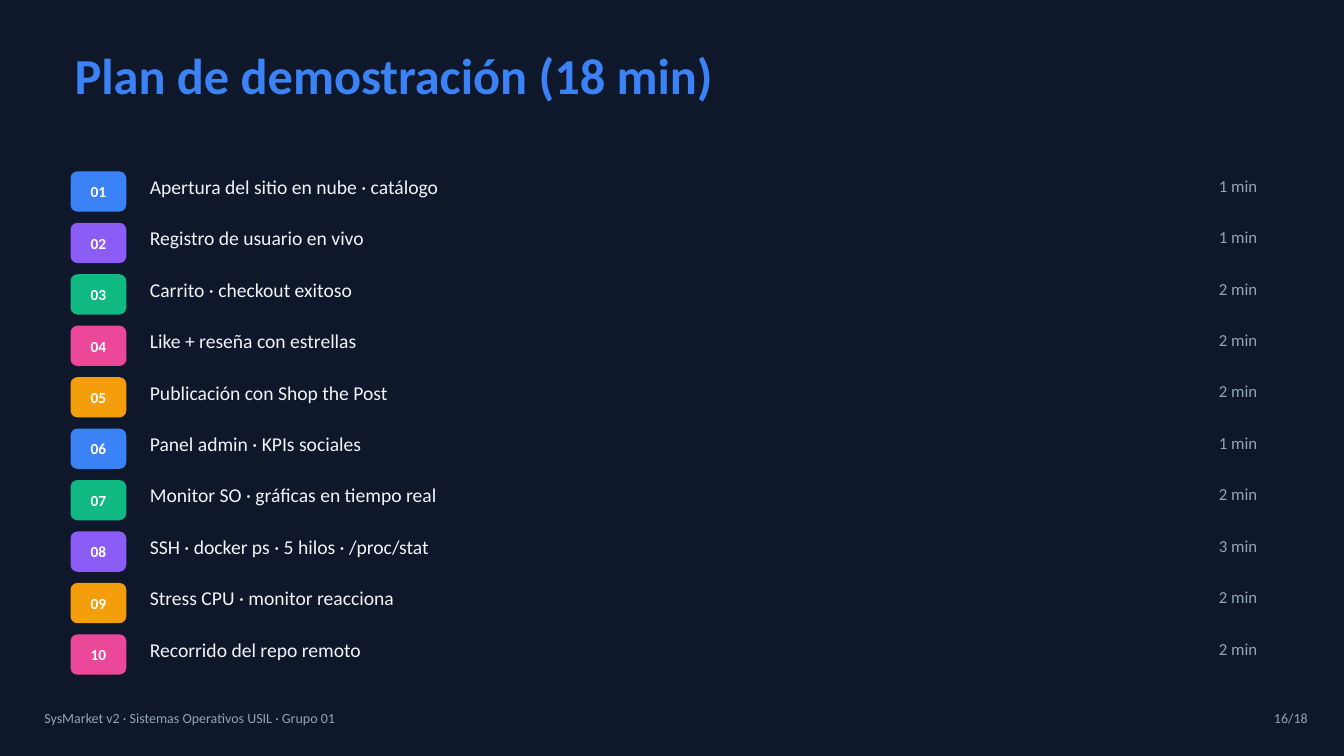
"""Builds the timed demonstration plan slide."""
from dataclasses import dataclass
from typing import NamedTuple

from pptx import Presentation
from pptx import util as u
from pptx.dml.color import RGBColor
from pptx.enum import shapes, text
from pptx.slide import Slide

COLUMNS, ROWS = 20, 11.25
COLUMN = ROW = u.Inches(1)
FIRST_STEP, LAST_STEP = 2.55, 9.44


class Area(NamedTuple):
    left: float
    top: float
    width: float
    height: float

    def lengths(self) -> list[int]:
        units = (COLUMN, ROW, COLUMN, ROW)
        return [round(share * unit) for share, unit in zip(self, units)]


class Style(NamedTuple):
    size: float
    color: str
    bold: bool = False
    align: text.PP_ALIGN = text.PP_ALIGN.LEFT


class Step(NamedTuple):
    label: str
    minutes: int
    color: str


@dataclass(frozen=True)
class Theme:
    font: str = "Calibri"
    background: str = "0F172A"
    blue: str = "3B82F6"
    violet: str = "8B5CF6"
    green: str = "10B981"
    pink: str = "EC4899"
    amber: str = "F59E0B"
    title: Style = Style(54, "3B82F6", bold=True)
    badge: Style = Style(16.5, "FFFFFF", bold=True, align=text.PP_ALIGN.CENTER)
    label: Style = Style(21, "F1F5F9")
    duration: Style = Style(18, "94A3B8", align=text.PP_ALIGN.RIGHT)
    footer: Style = Style(15, "94A3B8")
    page_number: Style = Style(15, "94A3B8", align=text.PP_ALIGN.RIGHT)


THEME = Theme()
STEPS = [
    Step("Apertura del sitio en nube · catálogo", 1, THEME.blue),
    Step("Registro de usuario en vivo", 1, THEME.violet),
    Step("Carrito · checkout exitoso", 2, THEME.green),
    Step("Like + reseña con estrellas", 2, THEME.pink),
    Step("Publicación con Shop the Post", 2, THEME.amber),
    Step("Panel admin · KPIs sociales", 1, THEME.blue),
    Step("Monitor SO · gráficas en tiempo real", 2, THEME.green),
    Step("SSH · docker ps · 5 hilos · /proc/stat", 3, THEME.violet),
    Step("Stress CPU · monitor reacciona", 2, THEME.amber),
    Step("Recorrido del repo remoto", 2, THEME.pink),
]
STEP_PITCH = (LAST_STEP - FIRST_STEP) / (len(STEPS) - 1)


def write(box, words: str, style: Style, inset: float = 0) -> None:
    """Fills a box with one styled paragraph."""
    frame = box.text_frame
    frame.word_wrap = True
    frame.margin_left = frame.margin_right = u.Inches(inset)
    frame.margin_top = frame.margin_bottom = u.Inches(inset)
    para = frame.paragraphs[0]
    para.text = words
    para.alignment = style.align
    para.line_spacing = u.Pt(style.size * 1.2)
    para.font.name = THEME.font
    para.font.size = u.Pt(style.size)
    para.font.bold = style.bold
    para.font.color.rgb = RGBColor.from_string(style.color)


def add_text(page: Slide, area: Area, words: str, style: Style) -> None:
    """Places plain text on the page."""
    write(page.shapes.add_textbox(*area.lengths()), words, style)


def add_badge(page: Slide, area: Area, words: str, color: str) -> None:
    """Places a rounded number badge on the page."""
    badge = page.shapes.add_shape(shapes.MSO_SHAPE.ROUNDED_RECTANGLE, *area.lengths())
    badge.adjustments[0] = 0.17
    badge.shadow.inherit = False
    badge.fill.solid()
    badge.fill.fore_color.rgb = RGBColor.from_string(color)
    badge.line.fill.background()
    badge.text_frame.vertical_anchor = text.MSO_ANCHOR.MIDDLE
    write(badge, words, THEME.badge, inset=0.06)


def add_step(page: Slide, index: int, step: Step) -> None:
    """Draws one row: badge, label and duration."""
    top = FIRST_STEP + index * STEP_PITCH
    add_badge(page, Area(1.05, top, 0.83, 0.6), f"{index + 1:02}", step.color)
    add_text(page, Area(2.23, top + 0.05, 14.15, 0.53), step.label, THEME.label)
    add_text(page, Area(16.57, top + 0.06, 2.14, 0.52), f"{step.minutes} min", THEME.duration)


def main() -> None:
    """Builds and saves the deck."""
    deck = Presentation()
    deck.slide_width, deck.slide_height = COLUMNS * COLUMN, round(ROWS * ROW)
    page = deck.slides.add_slide(deck.slide_layouts[6])
    page.background.fill.solid()
    page.background.fill.fore_color.rgb = RGBColor.from_string(THEME.background)

    total = sum(step.minutes for step in STEPS)
    add_text(page, Area(1.11, 0.65, 17.9, 0.98), f"Plan de demostración ({total} min)", THEME.title)
    for index, step in enumerate(STEPS):
        add_step(page, index, step)
    footer = "SysMarket v2 · Sistemas Operativos USIL · Grupo 01"
    add_text(page, Area(0.66, 10.56, 11.9, 0.6), footer, THEME.footer)
    add_text(page, Area(18.07, 10.56, 1.39, 0.6), "16/18", THEME.page_number)
    deck.save("out.pptx")


if __name__ == "__main__":
    main()
